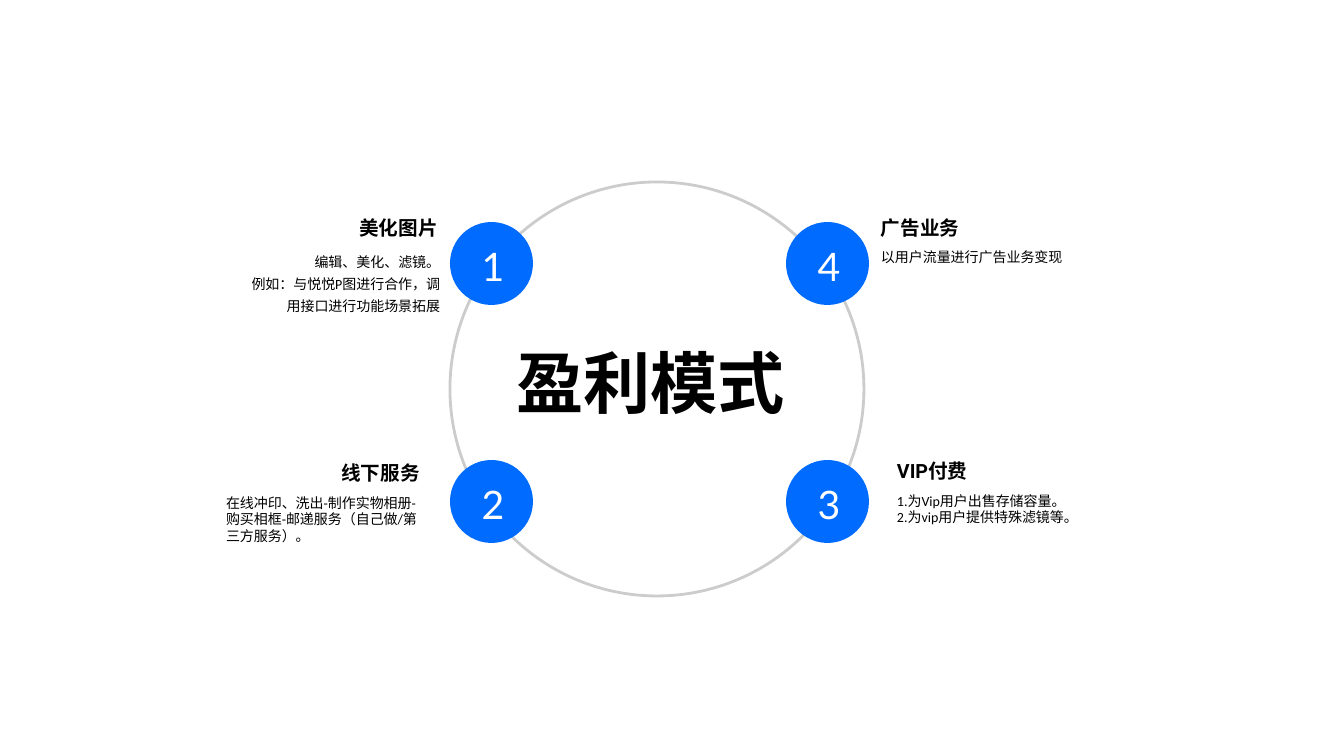
from dataclasses import dataclass

from lxml import etree
from pptx import Presentation
from pptx import util as u
from pptx.dml.color import RGBColor
from pptx.enum import shapes, text
from pptx.oxml.ns import qn

EMU_PER_PX = 914400 / 100.8
ALIGN = text.PP_ALIGN


@dataclass
class Theme:
    accent: str = "006BFF"
    ink: str = "000000"
    paper: str = "FFFFFF"
    ring_opacity: int = 20
    title_size: int = 48
    number_size: int = 28
    heading_size: int = 14
    body_size: int = 10
    title_font: str = "Roboto Condensed"
    number_font: str = "Lato"
    heading_font: str = "Roboto"
    body_font: str = "Calibri"


def px(length):
    return u.Emu(round(length * EMU_PER_PX))


def write(frame, content, *, font, size, color, bold=False, align=ALIGN.LEFT,
          spacing=1.0, insets=(0, 5, 10, 5), anchor=text.MSO_ANCHOR.TOP, wrap=True):
    """Fill a text frame, one paragraph per line of content."""
    frame.margin_left, frame.margin_top, frame.margin_right, frame.margin_bottom = map(px, insets)
    frame.vertical_anchor = anchor
    frame.word_wrap = wrap
    frame.text = content
    for paragraph in frame.paragraphs:
        paragraph.alignment = align
        paragraph.line_spacing = spacing
        paragraph.font.name = font
        paragraph.font.size = u.Pt(size)
        paragraph.font.bold = bold
        paragraph.font.color.rgb = RGBColor.from_string(color)


class CycleSlide:
    def __init__(self, presentation, theme):
        self.theme = theme
        self.slide = presentation.slides.add_slide(presentation.slide_layouts[5])

    def circle(self, left, top, diameter):
        shape = self.slide.shapes.add_shape(
            shapes.MSO_SHAPE.OVAL, px(left), px(top), px(diameter), px(diameter))
        shape.shadow.inherit = False
        return shape

    def ring(self, left, top, diameter):
        shape = self.circle(left, top, diameter)
        shape.fill.background()
        shape.line.width = u.Pt(2)
        shape.line.color.rgb = RGBColor.from_string(self.theme.ink)
        color = shape.line._ln.find(".//" + qn("a:srgbClr"))
        etree.SubElement(color, qn("a:alpha"), val=str(self.theme.ring_opacity * 1000))

    def node(self, number, left, top, diameter):
        shape = self.circle(left, top, diameter)
        shape.fill.solid()
        shape.fill.fore_color.rgb = RGBColor.from_string(self.theme.accent)
        shape.line.fill.background()
        write(shape.text_frame, str(number), font=self.theme.number_font,
              size=self.theme.number_size, color=self.theme.paper, align=ALIGN.CENTER,
              insets=(3, 5, 0, 0), anchor=text.MSO_ANCHOR.MIDDLE)

    def title(self, content, left, top, width, height):
        shape = self.slide.shapes.title
        shape.left, shape.top, shape.width, shape.height = map(px, (left, top, width, height))
        write(shape.text_frame, content, font=self.theme.title_font,
              size=self.theme.title_size, color=self.theme.ink, bold=True,
              align=ALIGN.CENTER, spacing=0.8, wrap=False)

    def text_box(self, content, left, top, width, height, **style):
        shape = self.slide.shapes.add_textbox(px(left), px(top), px(width), px(height))
        write(shape.text_frame, content, color=self.theme.ink, **style)
        shape.text_frame.auto_size = text.MSO_AUTO_SIZE.SHAPE_TO_FIT_TEXT

    def topic(self, heading, body, left, top, body_height, heading_align, body_align, spacing):
        heading_height = 29
        self.text_box(heading, left, top, 204, heading_height, font=self.theme.heading_font,
                      size=self.theme.heading_size, bold=True, align=heading_align, spacing=0.8)
        self.text_box(body, left, top + heading_height, 206, body_height,
                      font=self.theme.body_font, size=self.theme.body_size,
                      align=body_align, spacing=spacing)


def main():
    presentation = Presentation()
    presentation.slide_width, presentation.slide_height = px(1344), px(756)
    page = CycleSlide(presentation, Theme())

    # Ring and central title
    page.ring(450, 182, 414)
    page.title("盈利模式", 515, 352, 281, 76)

    # Numbered nodes, counter-clockwise from top left
    left, right, upper, lower = 450, 786, 222, 460
    corners = [(left, upper), (left, lower), (right, lower), (right, upper)]
    for number, (x, y) in enumerate(corners, start=1):
        page.node(number, x, y, 83)

    # Topic beside each node
    topics = [
        ("美化图片", "编辑、美化、滤镜。\n例如：与悦悦P图进行合作，调用接口进行功能场景拓展",
         244, 215, 75, ALIGN.RIGHT, ALIGN.RIGHT, 1.3),
        ("线下服务", "在线冲印、洗出-制作实物相册-购买相框-邮递服务（自己做/第三方服务）。",
         226, 460, 61, ALIGN.RIGHT, ALIGN.LEFT, 1.0),
        ("VIP付费", "1.为Vip用户出售存储容量。\n2.为vip用户提供特殊滤镜等。",
         897, 458, 44, ALIGN.LEFT, ALIGN.LEFT, 1.0),
        ("广告业务", "以用户流量进行广告业务变现",
         881, 215, 27, ALIGN.LEFT, ALIGN.LEFT, 1.0),
    ]
    for topic in topics:
        page.topic(*topic)

    presentation.save("out.pptx")


if __name__ == "__main__":
    main()
